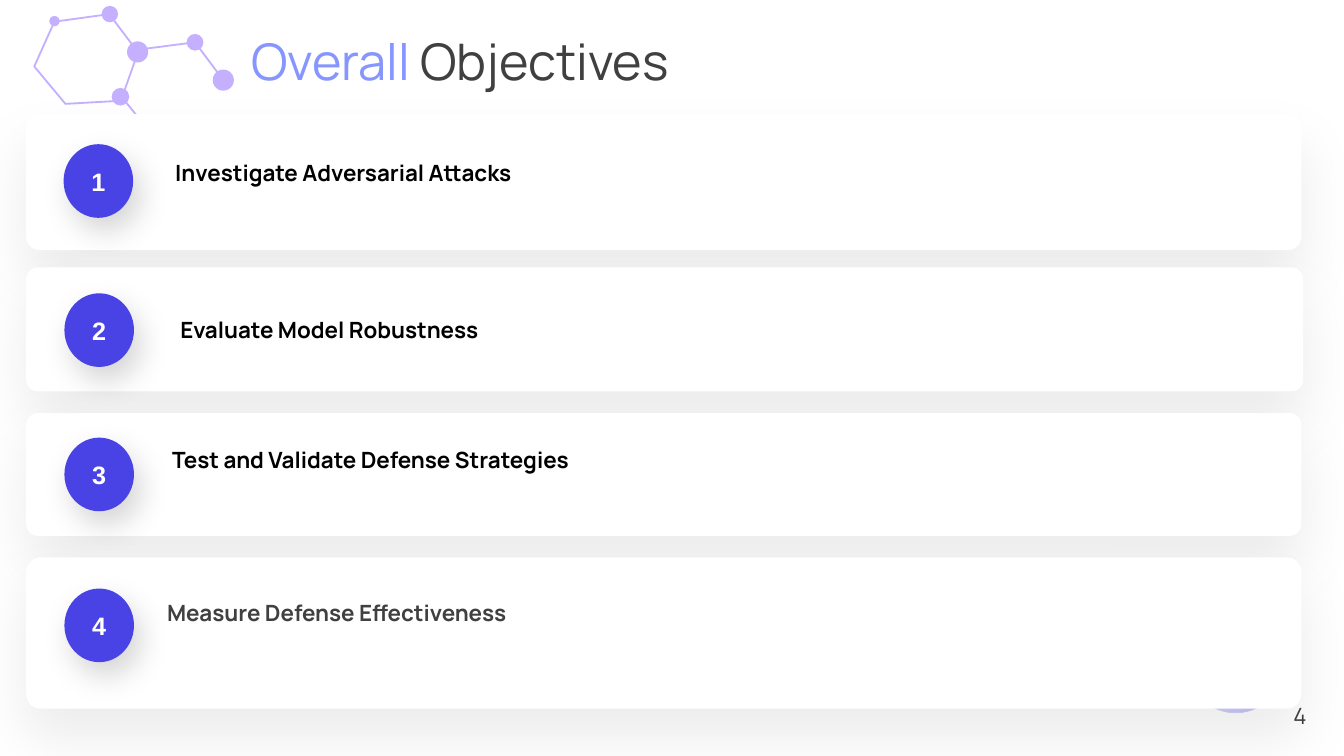
"""Build the Overall Objectives slide with four numbered cards."""
import pptx
import pptx.dml.color
import pptx.enum.shapes
import pptx.enum.text
import pptx.oxml
import pptx.oxml.ns
import pptx.util

Pt = pptx.util.Pt
Shape = pptx.enum.shapes.MSO_SHAPE
Align = pptx.enum.text.PP_ALIGN
Anchor = pptx.enum.text.MSO_ANCHOR

TITLE = [("Overall ", "8696FE"), ("Objectives", "404040")]
PAGE_NUMBER = "4"
LILAC, INDIGO, WHITE = "C4B0FF", "4942E4", "FFFFFF"
FONT = "Manrope"

CARDS = [
    {"text": "Investigate Adversarial Attacks", "color": "000000", "top": 81.4,
     "width": 910.8, "height": 97.2, "badge": (45.4, 103), "label": (118.1, 110.2)},
    {"text": "Evaluate Model Robustness", "color": "000000", "top": 191,
     "width": 912.2, "height": 88.6, "badge": (46, 209.5), "label": (121.7, 222.5)},
    {"text": "Test and Validate Defense Strategies", "color": "000000", "top": 295,
     "width": 910.8, "height": 87.8, "badge": (46, 312.6), "label": (115.9, 315.4)},
    {"text": "Measure Defense Effectiveness", "color": "404040", "top": 398.2,
     "width": 910.8, "height": 108, "badge": (46, 420.4), "label": (112.3, 424.1)},
]
CARD_LEFT = 18.7
CARD_SHADOW = {"alpha": 7, "blur": 40, "distance": 20, "angle": 90}
BADGE_SHADOW = {"alpha": 16, "blur": 22.2, "distance": 10.6, "angle": 62}

RING = [(78.1, 10.1), (38.9, 15.5), (24.5, 47.5), (46.8, 74.2), (86.4, 72), (98.6, 37.4)]
CHAIN = [(100.1, 35.3), (139.3, 30.2), (159.5, 57.2)]
STEM = [(85.3, 67.3), (107.6, 94.7)]
ATOMS = [(139.3, 30.2, 12), (159.5, 57.2, 15.1), (86, 69.1, 12.6),
         (38.9, 15.1, 7.4), (78.5, 10.1, 11.8), (98.3, 37.1, 15.1)]


def rgb(color):
    return pptx.dml.color.RGBColor.from_string(color)


def style_font(font, size, color, name=FONT, bold=False):
    font.size, font.name, font.bold = Pt(size), name, bold
    font.color.rgb = rgb(color)


def add_filled(page, kind, left, top, width, height, color):
    shape = page.shapes.add_shape(kind, Pt(left), Pt(top), Pt(width), Pt(height))
    shape.shadow.inherit = False
    shape.fill.solid()
    shape.fill.fore_color.rgb = rgb(color)
    shape.line.fill.background()
    return shape


def add_shadow(shape, alpha, blur, distance, angle):
    effects = shape.element.spPr.find(pptx.oxml.ns.qn("a:effectLst"))
    effects.append(pptx.oxml.parse_xml(
        f'<a:outerShdw {pptx.oxml.ns.nsdecls("a")} blurRad="{Pt(blur)}" '
        f'dist="{Pt(distance)}" dir="{angle * 60000}" algn="ctr" rotWithShape="0">'
        f'<a:srgbClr val="000000"><a:alpha val="{alpha * 1000}"/></a:srgbClr></a:outerShdw>'))


def add_label(page, text, left, top, width, height, color):
    box = page.shapes.add_textbox(Pt(left), Pt(top), Pt(width), Pt(height))
    box.text_frame.word_wrap = True
    box.text_frame.text = text
    style_font(box.text_frame.paragraphs[0].runs[0].font, 16, color)
    return box


def add_bond(page, points, closed):
    start, *rest = [(Pt(x), Pt(y)) for x, y in points]
    builder = page.shapes.build_freeform(*start)
    builder.add_line_segments(rest, close=closed)
    bond = builder.convert_to_shape()
    bond.shadow.inherit = False
    bond.fill.background()
    bond.line.color.rgb = rgb(LILAC)
    bond.line.width = Pt(1.3)


def add_orb(page):
    orb = add_filled(page, Shape.OVAL, 846.7, 437.8, 71.3, 71.3, LILAC)
    orb.rotation = 215.2
    stops = "".join(
        f'<a:gs pos="{position * 1000}"><a:srgbClr val="{color}">'
        f'<a:alpha val="{alpha * 1000}"/></a:srgbClr></a:gs>'
        for position, color, alpha in [(0, "8696FE", 0), (20, "8696FE", 0), (100, LILAC, 100)])
    solid = orb.element.spPr.find(pptx.oxml.ns.qn("a:solidFill"))
    solid.getparent().replace(solid, pptx.oxml.parse_xml(
        f'<a:gradFill {pptx.oxml.ns.nsdecls("a")} rotWithShape="1"><a:gsLst>{stops}</a:gsLst>'
        f'<a:lin ang="{190 * 60000}" scaled="0"/></a:gradFill>'))


def add_title(page):
    title = page.shapes.title
    title.left, title.top, title.width, title.height = Pt(172.1), Pt(18), Pt(511.9), Pt(51.1)
    frame = title.text_frame
    frame.auto_size = pptx.enum.text.MSO_AUTO_SIZE.NONE
    frame.vertical_anchor = Anchor.TOP
    para = frame.paragraphs[0]
    para.alignment = Align.LEFT
    for text, color in TITLE:
        span = para.add_run()
        span.text = text
        style_font(span.font, 36, color)


def add_card(page, number, card):
    panel = add_filled(page, Shape.ROUNDED_RECTANGLE, CARD_LEFT, card["top"],
                       card["width"], card["height"], WHITE)
    panel.adjustments[0] = 0.095
    add_shadow(panel, **CARD_SHADOW)

    badge = add_filled(page, Shape.OVAL, *card["badge"], 49.7, 52.6, INDIGO)
    add_shadow(badge, **BADGE_SHADOW)
    badge.text_frame.text = str(number)
    badge.text_frame.vertical_anchor = Anchor.MIDDLE
    para = badge.text_frame.paragraphs[0]
    para.alignment = Align.CENTER
    style_font(para.runs[0].font, 18, WHITE, "Arial", True)

    label = add_label(page, card["text"], *card["label"], 375.1, 26.6, card["color"])
    label.text_frame.paragraphs[0].runs[0].font.bold = True


def main():
    deck = pptx.Presentation()
    deck.slide_width, deck.slide_height = Pt(960), Pt(540)
    page = deck.slides.add_slide(deck.slide_layouts[5])
    add_title(page)

    number_box = add_label(page, PAGE_NUMBER, 724.3, 496.8, 216, 28.8, "404040")
    number_box.text_frame.vertical_anchor = Anchor.MIDDLE
    number_box.text_frame.paragraphs[0].alignment = Align.RIGHT

    add_orb(page)
    for points, closed in [(STEM, False), (CHAIN, False), (RING, True)]:
        add_bond(page, points, closed)
    for x, y, size in ATOMS:
        add_filled(page, Shape.OVAL, x - size / 2, y - size / 2, size, size, LILAC)

    for number, card in enumerate(CARDS, start=1):
        add_card(page, number, card)
    deck.save("out.pptx")


if __name__ == "__main__":
    main()
